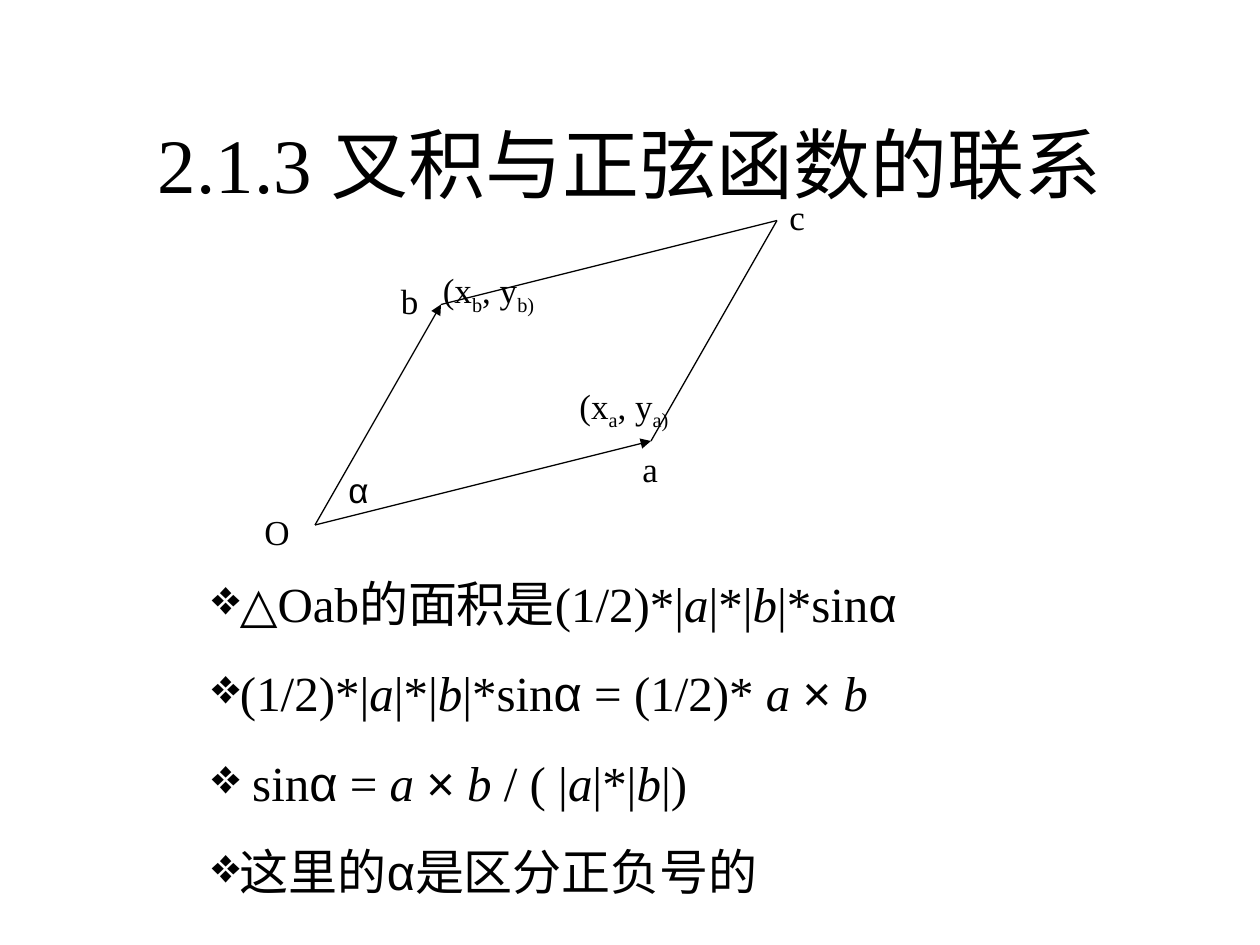
from itertools import groupby

from lxml import etree
from pptx import Presentation
from pptx.dml.color import RGBColor
from pptx.enum.shapes import MSO_CONNECTOR
from pptx.enum.text import MSO_ANCHOR, MSO_AUTO_SIZE, PP_ALIGN
from pptx.oxml.ns import qn
from pptx.util import Inches, Pt

STRAIGHT = MSO_CONNECTOR.STRAIGHT
MIDDLE = MSO_ANCHOR.MIDDLE
GROW = MSO_AUTO_SIZE.SHAPE_TO_FIT_TEXT
LEFT, CENTER = PP_ALIGN.LEFT, PP_ALIGN.CENTER
COLS, ROWS = 120, 90
INK = "000000"
GREEK = "α×"

TITLE = "2.1.3 叉积与正弦函数的联系"
POINTS = {"O": (30, 50), "a": (62, 42), "b": (42, 29), "c": (74, 21)}
SIDES = [("O", "a", True), ("O", "b", True), ("b", "c", False), ("a", "c", False)]
LABELS = [
    ("(x_b_, y_b)_", 41, 25, 13),
    ("(x_a_, y_a)_", 54, 36, 13),
    ("b", 37, 26, 7),
    ("a", 60, 42, 7),
    ("c", 74, 18, 7),
    ("O", 24, 48, 7),
    ("α", 32, 44, 8),
]
FACTS = [
    "△Oab的面积是(1/2)*|_a_|*|_b_|*sinα",
    "(1/2)*|_a_|*|_b_|*sinα = (1/2)* _a_ × _b_",
    " sinα = _a_ × _b_ / ( |_a_|*|_b_|)",
    "这里的α是区分正负号的",
]


def tint(code):
    """Turn a hex string into a colour."""
    return RGBColor.from_string(code)


def apply(item, values):
    """Set each named value on the item."""
    for name, value in values.items():
        setattr(item, name, value)


class Board:
    """Draws styled elements on a slide measured in columns and rows."""

    def __init__(self, deck):
        """Set the slide size and add a blank slide."""
        apply(deck, {"slide_width": Inches(10), "slide_height": Inches(7.5)})
        self.slide = deck.slides.add_slide(deck.slide_layouts[6])
        self.col = deck.slide_width / COLS
        self.row = deck.slide_height / ROWS

    def spot(self, col, row):
        """Return the slide position of a grid point."""
        return round(col * self.col), round(row * self.row)

    def runs(self, para, text, size, sub):
        """Write text whose parts between underscores are subscript or italic."""
        for order, part in enumerate(text.split("_")):
            for greek, chars in groupby(part, lambda char: char in GREEK):
                run = para.add_run()
                run.text = "".join(chars)
                face = "Arial" if greek else "Times New Roman"
                apply(run.font, {"name": face, "size": Pt(size)})
                run.font.color.rgb = tint(INK)
                if order % 2 and sub:
                    run.font._element.set("baseline", "-25000")
                elif order % 2:
                    run.font.italic = True

    def text(self, lines, box, size, form, align=LEFT, gap=0, mark=None, sub=False):
        """Add a text box with one paragraph per line."""
        left, top, wide, high = box
        shape = self.slide.shapes.add_textbox(*self.spot(left, top), *self.spot(wide, high))
        frame = shape.text_frame
        apply(frame, {"word_wrap": True, **form})
        for order, line in enumerate(lines):
            para = frame.add_paragraph() if order else frame.paragraphs[0]
            apply(para, {"alignment": align, "space_before": Pt(gap if order else 0)})
            if mark:
                props = para._p.get_or_add_pPr()
                etree.SubElement(props, qn("a:buChar")).set("char", mark)
            self.runs(para, line, size, sub)

    def line(self, start, end, arrow):
        """Add a thin line, with an arrowhead if asked."""
        link = self.slide.shapes.add_connector(STRAIGHT, *self.spot(*start), *self.spot(*end))
        link.line.width = Pt(0.75)
        link.line.color.rgb = tint(INK)
        if arrow:
            stroke = link.line._get_or_add_ln()
            etree.SubElement(stroke, qn("a:tailEnd")).set("type", "triangle")
        etree.SubElement(link._element.spPr, qn("a:effectLst"))


def main():
    """Build and save the slide."""
    deck = Presentation()
    board = Board(deck)
    board.text([TITLE], (9, 8, 102, 15), 44, {"vertical_anchor": MIDDLE}, CENTER)
    for start, end, arrow in SIDES:
        board.line(POINTS[start], POINTS[end], arrow)
    grow = {"auto_size": GROW}
    for label, col, row, wide in LABELS:
        board.text([label], (col, row, wide, 5.3), 20, grow, sub=True)
    board.text(FACTS, (19, 54, 84, 32.4), 28, grow, gap=17.5, mark="❖")
    deck.save("out.pptx")


if __name__ == "__main__":
    main()
